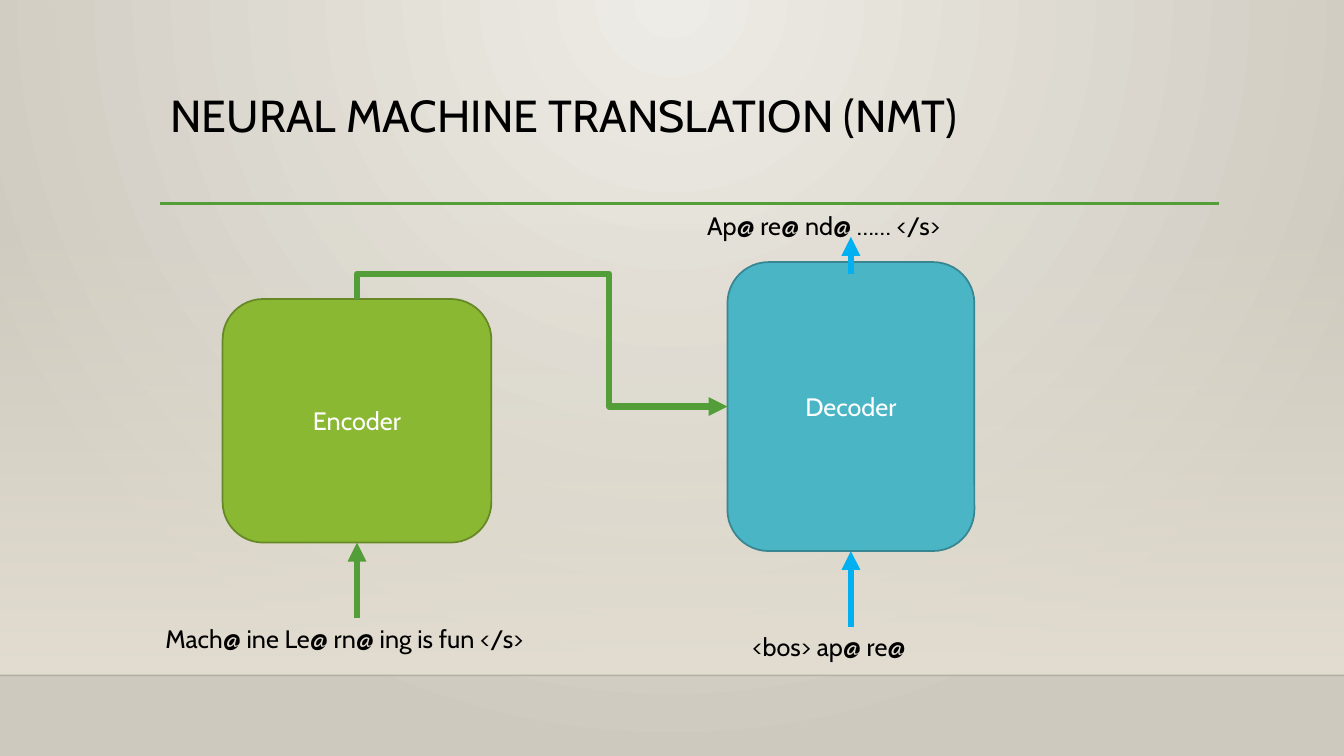
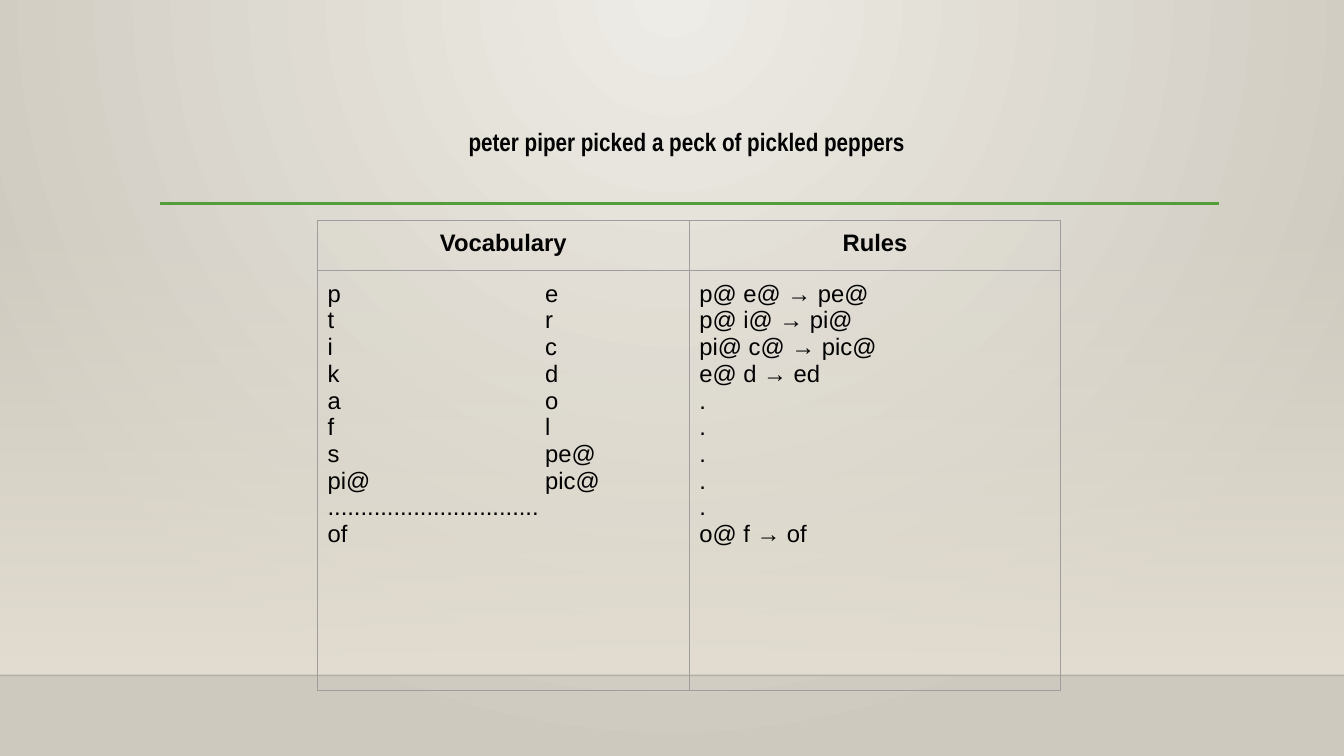
from dataclasses import dataclass
from typing import Optional

from lxml.etree import SubElement
from pptx import Presentation
from pptx.dml.color import RGBColor
from pptx.enum.shapes import MSO_CONNECTOR as Connector, MSO_SHAPE as Preset
from pptx.enum.text import MSO_ANCHOR as Anchor, PP_ALIGN as Align
from pptx.oxml import parse_xml
from pptx.oxml.ns import nsdecls, qn
from pptx.util import Emu, Inches, Pt

# Grid of square cells covering the slide
COLUMNS, ROWS = 160, 90
CELL = Inches(1) / 12

GREEN, BLUE, BLACK, WHITE = "549E39", "00B0F0", "000000", "FFFFFF"
BORDER = "9E9E9E"
BODY_FONT, TABLE_FONT = "Cabin", "Arial"
TOP, LEFT, BOTTOM = 0, 1, 2


@dataclass(frozen=True)
class Box:
    """Left, top, width and height in grid cells."""
    left: float
    top: float
    width: float
    height: float

    @property
    def center(self) -> float:
        return self.left + self.width / 2

    @property
    def middle(self) -> float:
        return self.top + self.height / 2

    @property
    def bottom(self) -> float:
        return self.top + self.height

    def lengths(self) -> list:
        return [cells(n) for n in (self.left, self.top, self.width, self.height)]


@dataclass(frozen=True)
class Block:
    text: str
    box: Box
    fill: str
    line: str


@dataclass(frozen=True)
class Label:
    text: str
    box: Box
    font: str = BODY_FONT
    bold: bool = False


PANEL = Box(0, 26.5, COLUMNS, 53.9)
TITLE = Box(19.1, 10.6, 126, 13.8)
TITLE_RULE = 24.2

ENCODER = Block("Encoder", Box(26.5, 35.6, 32, 29), "8AB833", "668826")
DECODER = Block("Decoder", Box(86.6, 31.2, 29.4, 34.4), "4AB5C4", "378691")
SOURCE = Label("Mach@ ine Le@ rn@ ing is fun </s>", Box(18.5, 73.6, 48, 4.8))
PREFIX = Label("<bos> ap@ re@", Box(88.4, 74.6, 23.4, 4.8))
OUTPUT = Label("Ap@ re@ nd@ …… </s>", Box(83, 24.4, 36.6, 4.8))
SENTENCE = Label("peter piper picked a peck of pickled peppers",
                 Box(54.6, 14.5, 55, 4.8), "Arial Narrow", True)

TABLE = Box(37.8, 26.2, 88.5, 56)
HEADER_ROWS = 6
VOCABULARY_TAB = 25.9
VOCABULARY = ("p\te\nt\tr\ni\tc\nk\td\na\to\nf\tl\ns\tpe@\npi@\tpic@\n"
              "................................\nof")
RULES = "\n".join(["p@ e@ → pe@", "p@ i@ → pi@", "pi@ c@ → pic@", "e@ d → ed",
                   *["."] * 5, "o@ f → of"])


def cells(count: float) -> Emu:
    return Emu(round(count * CELL))


def color(value: str) -> RGBColor:
    return RGBColor.from_string(value)


def write(frame, text: str, *, size: float = 18, font: str = BODY_FONT,
          ink: str = BLACK, bold: bool = False, align=Align.LEFT,
          spacing: Optional[float] = None, tab: Optional[float] = None) -> None:
    for index, line in enumerate(text.split("\n")):
        paragraph = frame.add_paragraph() if index else frame.paragraphs[0]
        paragraph.alignment = align
        if spacing:
            paragraph.line_spacing = spacing
        if tab:
            stops = SubElement(paragraph._p.get_or_add_pPr(), qn("a:tabLst"))
            SubElement(stops, qn("a:tab"), pos=str(cells(tab)), algn="l")
        run = paragraph.add_run()
        run.text = line
        run.font.size, run.font.name, run.font.bold = Pt(size), font, bold
        run.font.color.rgb = color(ink)


def add_label(slide, label: Label):
    shape = slide.shapes.add_textbox(*label.box.lengths())
    shape.text_frame.word_wrap = False
    write(shape.text_frame, label.text, font=label.font, bold=label.bold)
    return shape


def add_block(slide, block: Block):
    shape = slide.shapes.add_shape(Preset.ROUNDED_RECTANGLE, *block.box.lengths())
    shape.shadow.inherit = False
    shape.fill.solid()
    shape.fill.fore_color.rgb = color(block.fill)
    shape.line.color.rgb = color(block.line)
    shape.line.width = Pt(1.25)
    shape.text_frame.vertical_anchor = Anchor.MIDDLE
    write(shape.text_frame, block.text, ink=WHITE, align=Align.CENTER)
    return shape


def add_line(slide, start: tuple, end: tuple, ink: str, width: float,
             arrow: bool = False, kind=Connector.STRAIGHT):
    line = slide.shapes.add_connector(kind, *map(cells, start + end))
    line.line.color.rgb = color(ink)
    line.line.width = Pt(width)
    if arrow:
        SubElement(line.line._get_or_add_ln(), qn("a:tailEnd"), type="triangle")
    SubElement(line.element.spPr, qn("a:effectLst"))
    return line


def add_arrow(slide, start: tuple, end: tuple, ink: str, kind=Connector.STRAIGHT):
    return add_line(slide, start, end, ink, 4.5, True, kind)


def route_over(connector, start: tuple, end: tuple, rise: float, turn: float) -> None:
    """Leave upwards, cross, drop and enter from the left."""
    run, drop = end[0] - start[0], end[1] - start[1]
    center, middle = start[0] + run / 2, start[1] + drop / 2
    turned = Box(center - drop / 2, middle - run / 2, drop, run)
    connector.left, connector.top, connector.width, connector.height = turned.lengths()
    frame = connector.element.spPr.find(qn("a:xfrm"))
    frame.set("rot", "16200000")
    frame.set("flipH", "1")
    geometry = connector.element.spPr.find(qn("a:prstGeom"))
    geometry.set("prst", "bentConnector4")
    guides = geometry.find(qn("a:avLst"))
    if guides is None:
        guides = SubElement(geometry, qn("a:avLst"))
    for name, share in (("adj1", -rise), ("adj2", turn)):
        SubElement(guides, qn("a:gd"), name=name, fmla=f"val {round(share * 100000)}")


def set_gradient(shape, ink: str) -> None:
    """Fade from clear at the top to solid at the bottom."""
    shape.fill.gradient()
    old = shape.element.spPr.find(qn("a:gradFill"))
    new = parse_xml(
        f'<a:gradFill {nsdecls("a")} rotWithShape="1"><a:gsLst>'
        f'<a:gs pos="0"><a:srgbClr val="{ink}"><a:alpha val="0"/></a:srgbClr></a:gs>'
        f'<a:gs pos="100000"><a:srgbClr val="{ink}"/></a:gs></a:gsLst>'
        '<a:lin ang="5400000" scaled="0"/></a:gradFill>')
    old.getparent().replace(old, new)


def decorate_layout(layout, slide) -> None:
    """Draw the shared backdrop on a slide and move it to the layout."""
    for placeholder in list(layout.placeholders):
        layout.shapes.element.remove(placeholder.element)
    layout.element.find(qn("p:cSld")).insert(0, parse_xml(
        f'<p:bg {nsdecls("p", "a")}><p:bgPr><a:gradFill rotWithShape="1"><a:gsLst>'
        '<a:gs pos="0"><a:srgbClr val="EEECE6"/></a:gs>'
        '<a:gs pos="100000"><a:srgbClr val="CEC9BE"/></a:gs></a:gsLst>'
        '<a:path path="circle"><a:fillToRect l="43000" r="43000" b="100000"/></a:path>'
        '</a:gradFill><a:effectLst/></p:bgPr></p:bg>'))
    panel = slide.shapes.add_shape(Preset.RECTANGLE, *PANEL.lengths())
    panel.shadow.inherit = False
    panel.line.fill.background()
    set_gradient(panel, "E3DED1")
    floor = add_line(slide, (0, PANEL.bottom), (COLUMNS, PANEL.bottom), "000001", 1)
    ink = floor.element.spPr.find(f".//{qn('a:srgbClr')}")
    SubElement(ink, qn("a:alpha"), val="20000")
    rule = add_line(slide, (TITLE.left, TITLE_RULE),
                    (TITLE.left + TITLE.width, TITLE_RULE), GREEN, 2.5)
    for shape in (panel, floor, rule):
        layout.shapes.element.append(shape.element)


def add_title(slide, text: str) -> None:
    shape = slide.shapes.add_textbox(*TITLE.lengths())
    shape.text_frame.word_wrap = True
    write(shape.text_frame, text, size=32, spacing=0.9)


def set_borders(cell) -> None:
    properties = cell._tc.get_or_add_tcPr()
    for index, side in enumerate(("lnL", "lnR", "lnT", "lnB")):
        properties.insert(index, parse_xml(
            f'<a:{side} {nsdecls("a")} w="{Pt(0.75)}"><a:solidFill>'
            f'<a:srgbClr val="{BORDER}"/></a:solidFill></a:{side}>'))


def add_columns_table(slide, headers: tuple, bodies: tuple) -> None:
    table = slide.shapes.add_table(2, len(headers), *TABLE.lengths()).table
    table.first_row = table.horz_banding = False
    for column in table.columns:
        column.width = cells(TABLE.width / len(headers))
    for row, height in zip(table.rows, (HEADER_ROWS, TABLE.height - HEADER_ROWS)):
        row.height = cells(height)
    for row_index, texts in enumerate((headers, bodies)):
        header = row_index == 0
        for column_index, text in enumerate(texts):
            cell = table.cell(row_index, column_index)
            cell.margin_left = cell.margin_right = Inches(0.1)
            cell.margin_top = cell.margin_bottom = Inches(0.1)
            cell.fill.background()
            set_borders(cell)
            write(cell.text_frame, text, size=17, font=TABLE_FONT, bold=header,
                  align=Align.CENTER if header else Align.LEFT,
                  tab=VOCABULARY_TAB if "\t" in text else None)


def build_translation(slide) -> None:
    add_title(slide, "NEURAL MACHINE TRANSLATION (NMT)")
    encoder, decoder = (add_block(slide, block) for block in (ENCODER, DECODER))
    source, _, _ = (add_label(slide, label) for label in (SOURCE, PREFIX, OUTPUT))
    left, right = ENCODER.box, DECODER.box

    # Inputs below the blocks
    feed = add_arrow(slide, (left.center, SOURCE.box.top),
                     (left.center, left.bottom), GREEN)
    feed.begin_connect(source, TOP)
    feed.end_connect(encoder, BOTTOM)
    prefix_feed = add_arrow(slide, (right.center, PREFIX.box.top),
                            (right.center, right.bottom), BLUE)
    prefix_feed.end_connect(decoder, BOTTOM)

    # Encoder to decoder, then the decoder's output
    start, end = (left.center, left.top), (right.left, right.middle)
    handover = add_arrow(slide, start, end, GREEN, Connector.ELBOW)
    handover.begin_connect(encoder, TOP)
    handover.end_connect(decoder, LEFT)
    route_over(handover, start, end, rise=0.235, turn=0.681)
    add_arrow(slide, (right.center, 32.6), (right.center, 28.2), BLUE)


def build_vocabulary(slide) -> None:
    add_label(slide, SENTENCE)
    add_columns_table(slide, ("Vocabulary", "Rules"), (VOCABULARY, RULES))


def main() -> None:
    presentation = Presentation()
    presentation.slide_width, presentation.slide_height = cells(COLUMNS), cells(ROWS)
    blank = presentation.slide_layouts[6]
    slides = [presentation.slides.add_slide(blank) for _ in range(2)]
    decorate_layout(blank, slides[0])
    for slide, build in zip(slides, (build_translation, build_vocabulary)):
        build(slide)
    presentation.save("out.pptx")


if __name__ == "__main__":
    main()
